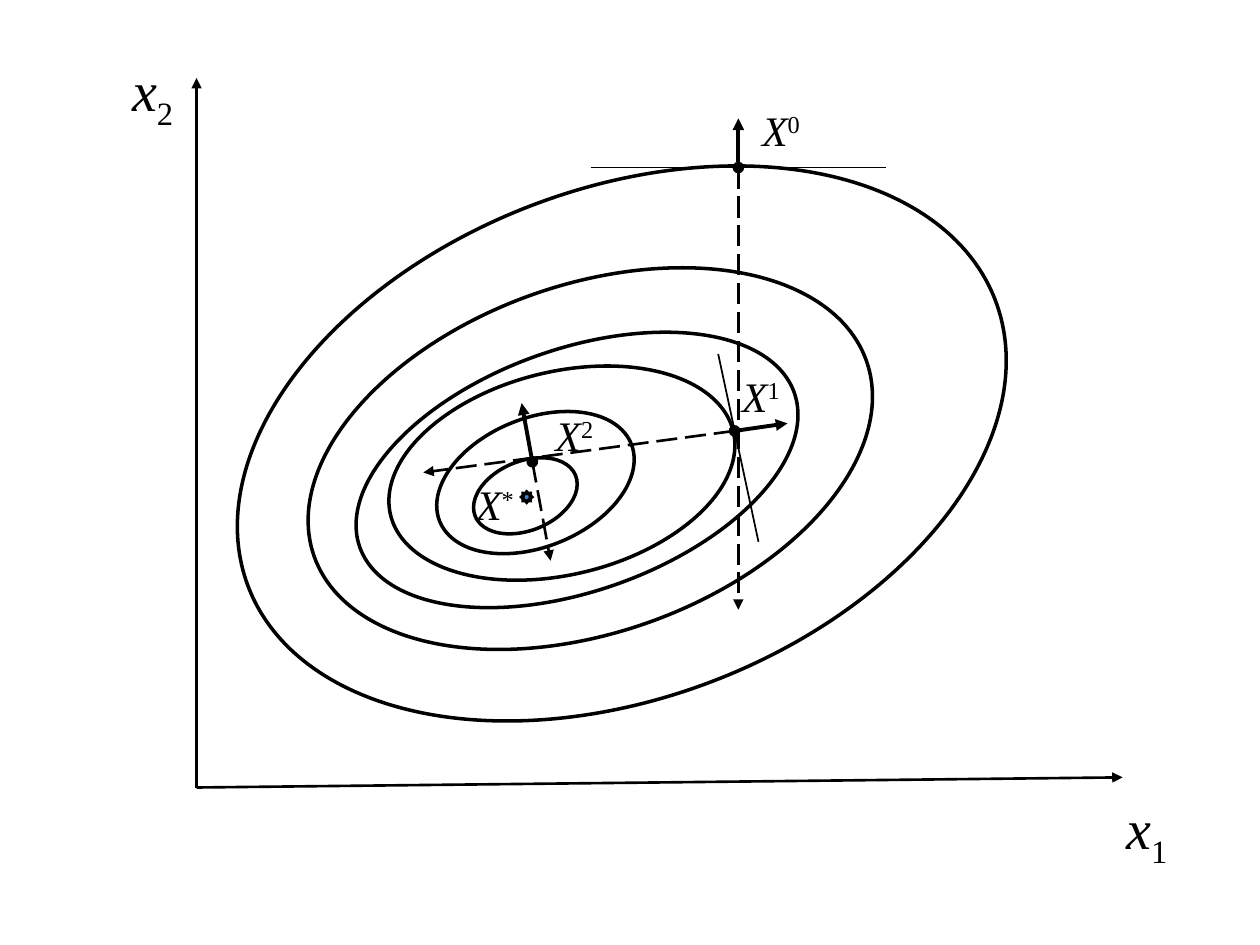
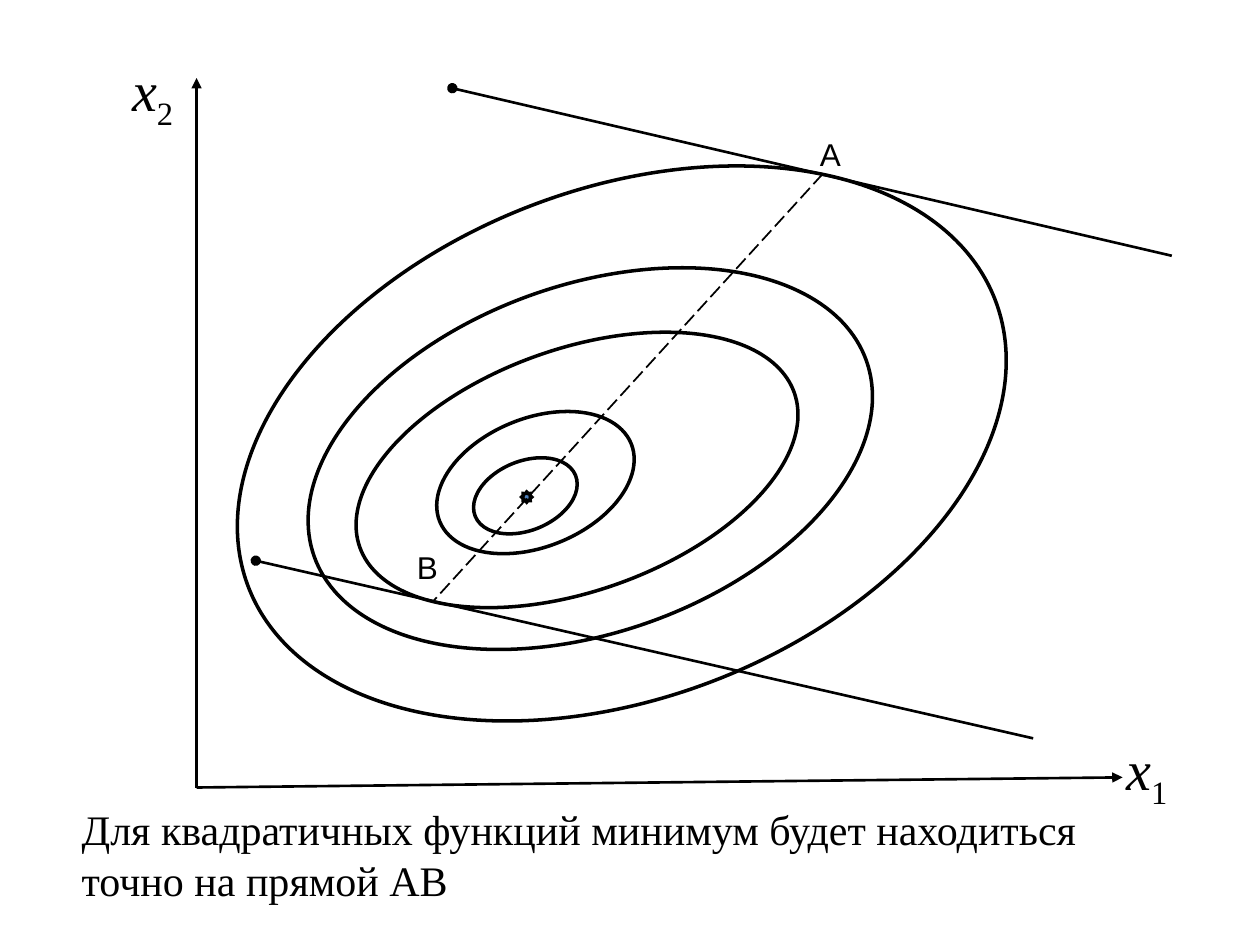
from dataclasses import dataclass
from math import cos, pi, sin

from lxml.etree import SubElement
from pptx import Presentation
from pptx.dml.color import RGBColor
from pptx.enum.dml import MSO_LINE_DASH_STYLE as Dash
from pptx.enum.shapes import MSO_CONNECTOR as Connector, MSO_SHAPE as Preset
from pptx.enum.text import MSO_AUTO_SIZE as AutoSize, PP_ALIGN as Align
from pptx.oxml.ns import qn
from pptx.util import Inches, Pt


@dataclass(frozen=True)
class Theme:
    ink: RGBColor = RGBColor(0, 0, 0)
    optimum: RGBColor = RGBColor(0x4F, 0x81, 0xBD)
    serif: str = "Times New Roman"
    sans: str = "Arial"
    axis_size: int = 32
    body_size: int = 24
    letter_size: int = 18
    thin: float = 1
    medium: float = 1.5
    contour: float = 2
    bold: float = 2.25
    subscript: int = -25000
    superscript: int = 30000


@dataclass(frozen=True)
class Contour:
    left: float
    top: float
    width: float
    height: float
    rotation: float


@dataclass(frozen=True)
class Segment:
    start: tuple[float, float]
    end: tuple[float, float]
    weight: float
    dashed: bool = False
    head: str = ""
    tail: str = ""


@dataclass(frozen=True)
class Label:
    left: float
    top: float
    width: float
    height: float
    lines: tuple[str, ...]
    size: int
    font: str
    index: str = ""
    baseline: int = 0


COLUMNS, ROWS = 100, 75
THEME = Theme()
deck = Presentation()
deck.slide_width, deck.slide_height = Inches(10), Inches(7.5)


def across(columns: float) -> int:
    return round(deck.slide_width * columns / COLUMNS)


def down(rows: float) -> int:
    return round(deck.slide_height * rows / ROWS)


def style_outline(line, weight: float) -> None:
    line.color.rgb = THEME.ink
    line.width = Pt(weight)


def draw_contour(shapes, contour: Contour) -> None:
    ellipse = shapes.add_shape(
        Preset.OVAL, across(contour.left), down(contour.top),
        across(contour.width), down(contour.height))
    ellipse.rotation = contour.rotation
    ellipse.shadow.inherit = False
    ellipse.fill.background()
    style_outline(ellipse.line, THEME.contour)


def draw_optimum(shapes) -> None:
    column, row = 41.8, 39.45
    radii = (0.4, 0.3)
    points = [
        (across(column - radii[step % 2] * cos(step * pi / 8)),
         down(row + radii[step % 2] * sin(step * pi / 8)))
        for step in range(16)
    ]
    builder = shapes.build_freeform(*points[0])
    builder.add_line_segments(points[1:], close=True)
    star = builder.convert_to_shape()
    star.shadow.inherit = False
    star.fill.solid()
    star.fill.fore_color.rgb = THEME.optimum
    style_outline(star.line, THEME.contour)
    SubElement(star.line._get_or_add_ln(), qn("a:miter")).set("lim", "800000")


def draw_segment(page, segment: Segment) -> None:
    connector = page.shapes.add_connector(
        Connector.STRAIGHT,
        across(segment.start[0]), down(segment.start[1]),
        across(segment.end[0]), down(segment.end[1]))
    style_outline(connector.line, segment.weight)
    if segment.dashed:
        connector.line.dash_style = Dash.LONG_DASH
    outline = connector.line._get_or_add_ln()
    for tag, kind in (("a:headEnd", segment.head), ("a:tailEnd", segment.tail)):
        if kind:
            SubElement(outline, qn(tag)).set("type", kind)
    SubElement(connector._element.spPr, qn("a:effectLst"))


def write_label(page, label: Label) -> None:
    box = page.shapes.add_textbox(
        across(label.left), down(label.top), across(label.width), down(label.height))
    frame = box.text_frame
    frame.word_wrap = False
    frame.auto_size = AutoSize.SHAPE_TO_FIT_TEXT
    for number, line in enumerate(label.lines):
        para = frame.add_paragraph() if number else frame.paragraphs[0]
        para.alignment = Align.LEFT
        para.font.name = label.font
        para.font.size = Pt(label.size)
        para.font.color.rgb = THEME.ink
        span = para.add_run()
        span.text = line
        if label.index:
            span.font.italic = True
            mark = para.add_run()
            mark.text = label.index
            mark._r.get_or_add_rPr().set("baseline", str(label.baseline))


def axis_label(left: float, top: float, index: str) -> Label:
    return Label(left, top, 5.6, 7.1, ("x",), THEME.axis_size, THEME.serif,
                 index, THEME.subscript)


def point_label(left: float, top: float, index: str) -> Label:
    return Label(left, top, 5.2, 5, ("X",), THEME.body_size, THEME.serif,
                 index, THEME.superscript)


def letter_label(left: float, top: float, letter: str) -> Label:
    return Label(left, top, 3.7, 4, (letter,), THEME.letter_size, THEME.sans)


def tangent(start: tuple[float, float], end: tuple[float, float]) -> Segment:
    return Segment(start, end, THEME.thin)


def gradient(start: tuple[float, float], end: tuple[float, float]) -> Segment:
    return Segment(start, end, THEME.bold, head="oval", tail="triangle")


def descent(start: tuple[float, float], end: tuple[float, float]) -> Segment:
    return Segment(start, end, THEME.medium, dashed=True, tail="triangle")


def search_line(start: tuple[float, float], end: tuple[float, float]) -> Segment:
    return Segment(start, end, THEME.medium, head="oval")


LEVELS = (
    Contour(17.6, 15, 63.5, 40.4, 339),
    Contour(23.6, 22.6, 46.5, 27.6, 340.5),
    Contour(27.5, 27.7, 36.6, 19.2, 340.4),
    Contour(34.3, 33.2, 16.4, 10.2, 337.9),
)
INNERMOST = Contour(37.4, 36.6, 8.6, 5.5, 337.8)
DESCENT_LEVEL = Contour(30.6, 29.5, 28, 16.1, 346.2)
ORIGIN = (15.6, 62.5)
AXES = tuple(Segment(ORIGIN, end, THEME.medium, tail="triangle")
             for end in ((15.6, 6.2), (89.1, 61.7)))
FIRST, SECOND, THIRD = (58.6, 13.3), (58.3, 34.2), (42.25, 36.65)


def add_plot(first_axis_top: float, contours: tuple[Contour, ...],
             segments: tuple[Segment, ...], labels: tuple[Label, ...]) -> None:
    page = deck.slides.add_slide(deck.slide_layouts[6])
    group = page.shapes.add_group_shape()
    for level in LEVELS:
        draw_contour(group.shapes, level)
    draw_optimum(group.shapes)
    for contour in (*contours, INNERMOST):
        draw_contour(page.shapes, contour)
    for segment in AXES + segments:
        draw_segment(page, segment)
    axis_names = (axis_label(9.5, 3.9, "2"), axis_label(88.4, first_axis_top, "1"))
    for label in axis_names + labels:
        write_label(page, label)


add_plot(
    62.5,
    (DESCENT_LEVEL,),
    (
        tangent((46.9, 13.3), (70.3, 13.3)),
        gradient(FIRST, (58.6, 9.4)),
        descent(FIRST, (58.6, 48.4)),
        tangent((60.2, 43), (57, 28.1)),
        gradient(SECOND, (62.5, 33.6)),
        descent(SECOND, (33.6, 37.5)),
        descent(THIRD, (43.7, 44.5)),
        gradient(THIRD, (41.4, 32)),
    ),
    (
        point_label(59.5, 7.8, "0"),
        point_label(57.9, 28.9, "1"),
        point_label(43.1, 32, "2"),
        point_label(36.8, 37.5, "*"),
    ),
)
add_plot(
    57.8,
    (),
    (
        search_line((35.9, 7), (93, 20.3)),
        search_line((20.3, 44.5), (82, 58.6)),
        Segment((65.3, 13.8), (34.4, 47.7), THEME.thin, dashed=True),
    ),
    (
        letter_label(64.1, 10.2, "A"),
        letter_label(32.1, 43, "B"),
        Label(5.5, 63.3, 82.6, 9,
              ("Для квадратичных функций минимум будет находиться ",
               "точно на прямой АВ"),
              THEME.body_size, THEME.serif),
    ),
)
deck.save("out.pptx")
